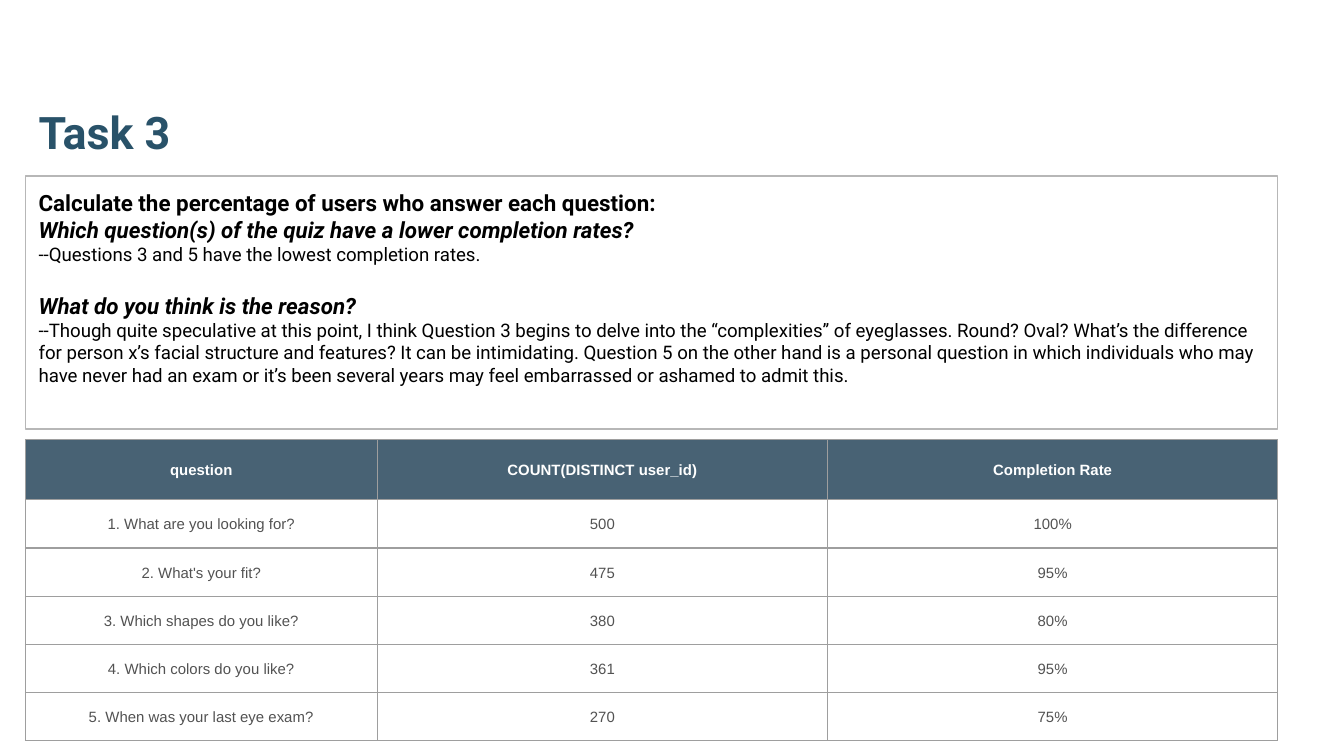
from lxml import etree
from pptx import Presentation
from pptx import util as u
from pptx.dml.color import RGBColor
from pptx.enum import shapes, text
from pptx.oxml import ns

TITLE_BLUE = RGBColor(0x29, 0x52, 0x69)
HEADER_BLUE = RGBColor(0x20, 0x40, 0x56)
BLACK = RGBColor(0, 0, 0)
WHITE = RGBColor(0xFF, 0xFF, 0xFF)
CELL_GREY = RGBColor(0x52, 0x52, 0x52)
FRAME_GREY = RGBColor(0xB7, 0xB7, 0xB7)
BORDER_GREY = RGBColor(0x9E, 0x9E, 0x9E)

LEFT, WIDTH = 0.48, 23.67
INSET = 0.25
HEADER_ALPHA = 82

ANSWERS = [
    ("Calculate the percentage of users who answer each question:", 12, True, False, 0),
    ("Which question(s) of the quiz have a lower completion rates?", 12, True, True, 0),
    ("--Questions 3 and 5 have the lowest completion rates.", 10, False, False, 0),
    ("What do you think is the reason?", 12, True, True, 14),
    ("--Though quite speculative at this point, I think Question 3 begins to delve into the "
     "“complexities” of eyeglasses. Round? Oval? What’s the difference for person x’s facial "
     "structure and features? It can be intimidating. Question 5 on the other hand is a personal "
     "question in which individuals who may have never had an exam or it’s been several years may "
     "feel embarrassed or ashamed to admit this.", 10, False, False, 0),
]

COMPLETION = [
    ("question", "COUNT(DISTINCT user_id)", "Completion Rate"),
    ("1. What are you looking for?", "500", "100%"),
    ("2. What's your fit?", "475", "95%"),
    ("3. Which shapes do you like?", "380", "80%"),
    ("4. Which colors do you like?", "361", "95%"),
    ("5. When was your last eye exam?", "270", "75%"),
]


class SlideBuilder:
    text_font = "Roboto"
    table_font = "Arial"
    table_size = 8
    line_width = u.Pt(0.75)

    def __init__(self, slide):
        self.slide = slide

    def style(self, paragraph, font, size, color, bold=False, italic=False):
        paragraph.font.name = font
        paragraph.font.size = u.Pt(size)
        paragraph.font.color.rgb = color
        paragraph.font.bold = bold
        paragraph.font.italic = italic

    def prepare_frame(self, frame, anchor):
        frame.word_wrap = True
        frame.vertical_anchor = anchor
        frame.margin_left = frame.margin_right = u.Cm(INSET)
        frame.margin_top = frame.margin_bottom = u.Cm(INSET)

    def title(self, wording, top, height):
        shape = self.slide.shapes.add_textbox(u.Cm(LEFT), u.Cm(top), u.Cm(WIDTH), u.Cm(height))
        self.prepare_frame(shape.text_frame, text.MSO_ANCHOR.BOTTOM)
        paragraph = shape.text_frame.paragraphs[0]
        paragraph.text = wording
        self.style(paragraph, self.text_font, 24, TITLE_BLUE, bold=True)

    def framed_text(self, lines, top, height):
        shape = self.slide.shapes.add_shape(
            shapes.MSO_SHAPE.RECTANGLE, u.Cm(LEFT), u.Cm(top), u.Cm(WIDTH), u.Cm(height))
        shape.shadow.inherit = False
        shape.fill.background()
        shape.line.color.rgb = FRAME_GREY
        shape.line.width = self.line_width
        frame = shape.text_frame
        self.prepare_frame(frame, text.MSO_ANCHOR.TOP)
        for index, (wording, size, bold, italic, gap) in enumerate(lines):
            paragraph = frame.add_paragraph() if index else frame.paragraphs[0]
            paragraph.text = wording
            paragraph.alignment = text.PP_ALIGN.LEFT
            if gap:
                paragraph.space_before = u.Pt(gap)
            self.style(paragraph, self.text_font, size, BLACK, bold, italic)

    def cell_borders(self, properties):
        for side in ("lnL", "lnR", "lnT", "lnB"):
            line = etree.SubElement(properties, ns.qn(f"a:{side}"), w=str(self.line_width))
            fill = etree.SubElement(line, ns.qn("a:solidFill"))
            etree.SubElement(fill, ns.qn("a:srgbClr"), val=str(BORDER_GREY))

    def table_cell(self, cell, wording, is_header):
        cell.text = wording
        cell.vertical_anchor = text.MSO_ANCHOR.MIDDLE
        cell.margin_left = cell.margin_right = cell.margin_top = u.Cm(0.03)
        cell.margin_bottom = 0
        paragraph = cell.text_frame.paragraphs[0]
        paragraph.alignment = text.PP_ALIGN.CENTER
        color = WHITE if is_header else CELL_GREY
        self.style(paragraph, self.table_font, self.table_size, color, bold=is_header)
        properties = cell._tc.get_or_add_tcPr()
        self.cell_borders(properties)
        if is_header:
            cell.fill.solid()
            cell.fill.fore_color.rgb = HEADER_BLUE
            fill_color = properties.find(f"{ns.qn('a:solidFill')}/{ns.qn('a:srgbClr')}")
            etree.SubElement(fill_color, ns.qn("a:alpha"), val=str(HEADER_ALPHA * 1000))
        else:
            cell.fill.background()

    def table(self, rows, top, column_widths, header_height, row_height):
        heights = [header_height] + [row_height] * (len(rows) - 1)
        table = self.slide.shapes.add_table(
            len(rows), len(column_widths), u.Cm(LEFT), u.Cm(top),
            u.Cm(sum(column_widths)), u.Cm(sum(heights))).table
        table.first_row = table.horz_banding = False
        for column, width in zip(table.columns, column_widths):
            column.width = u.Cm(width)
        for row_index, (row, height) in enumerate(zip(rows, heights)):
            table.rows[row_index].height = u.Cm(height)
            for column_index, wording in enumerate(row):
                self.table_cell(table.cell(row_index, column_index), wording, row_index == 0)


def main():
    presentation = Presentation()
    presentation.slide_width = u.Cm(25.4)
    presentation.slide_height = u.Cm(14.29)
    builder = SlideBuilder(presentation.slides.add_slide(presentation.slide_layouts[6]))
    builder.title("Task 3", top=0.91, height=2.34)
    builder.framed_text(ANSWERS, top=3.33, height=4.78)
    builder.table(COMPLETION, top=8.31, column_widths=[6.65, 8.51, 8.51],
                  header_height=1.14, row_height=0.91)
    presentation.save("out.pptx")


if __name__ == "__main__":
    main()
